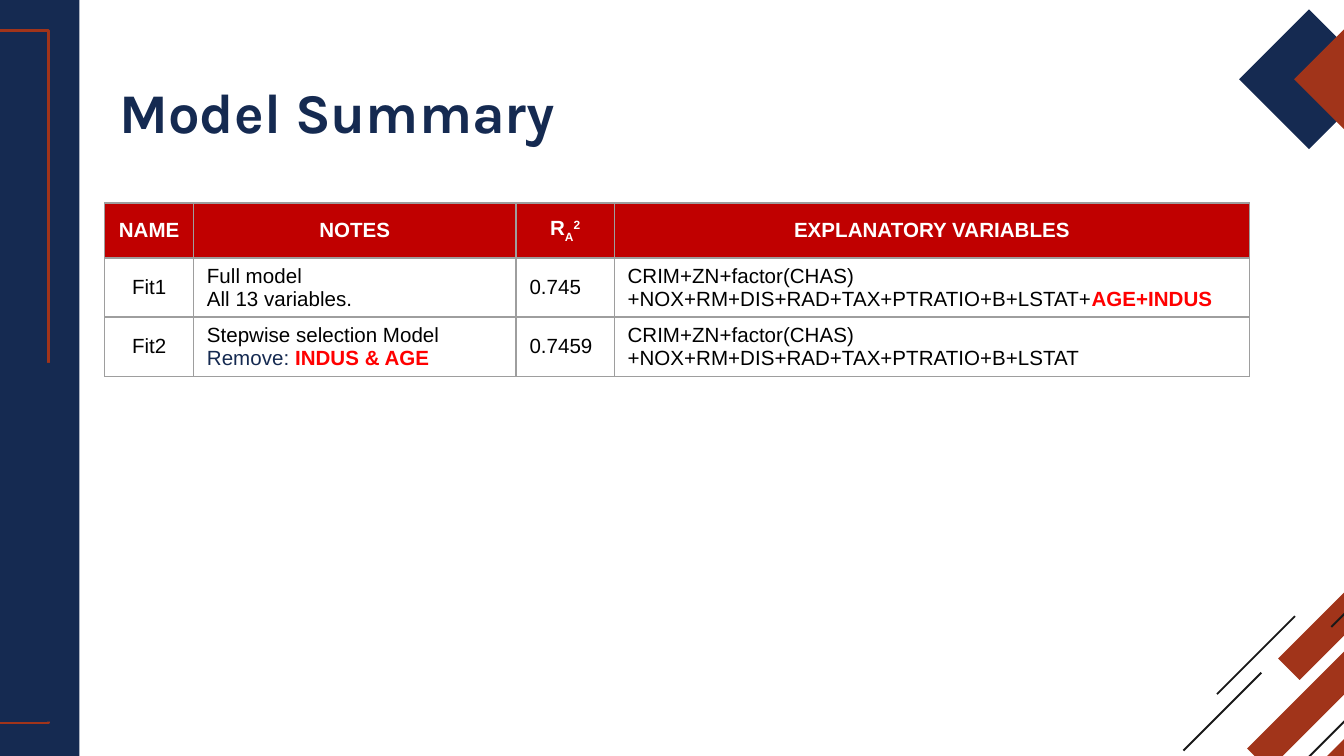
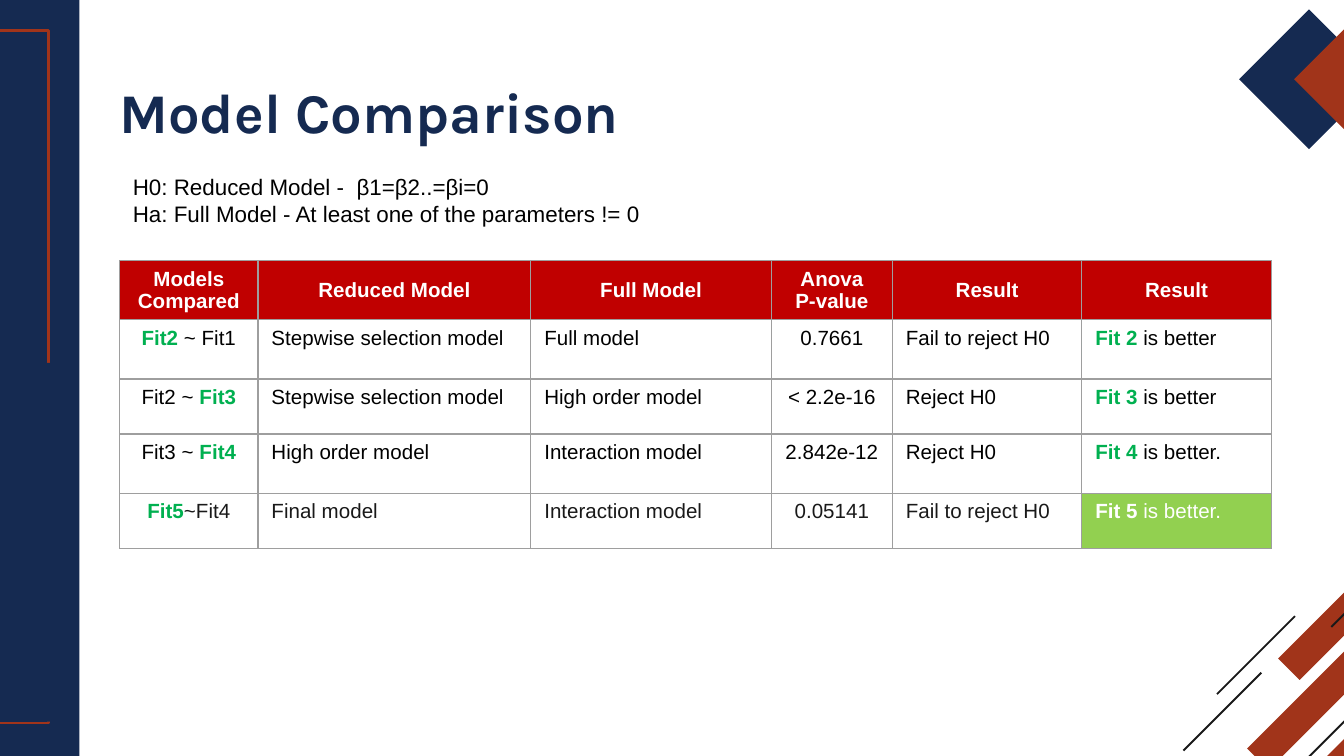
from lxml.etree import SubElement
from pptx import Presentation
from pptx.dml.color import RGBColor
from pptx.enum.shapes import MSO_SHAPE
from pptx.enum.text import MSO_ANCHOR, PP_ALIGN
from pptx.oxml.ns import qn
from pptx.util import Inches, Pt

COLORS = {
    "navy": "152A51", "rust": "A1341A", "ink": "191919", "black": "000000",
    "white": "FFFFFF", "header": "C00000", "red": "FF0000", "green": "00B050",
    "lime": "92D050", "border": "9E9E9E",
}

# Run styles: colour, bold, baseline shift in thousandths of a percent
STYLES = {
    "navy": ("navy", False, None),
    "removed": ("red", True, None),
    "winner": ("green", True, None),
    "final winner": ("white", True, None),
    "final": ("white", False, None),
    "subscript": ("white", True, -25000),
    "superscript": ("white", True, 30000),
}

# Side band: left, top, width, height, fill, line
BAND = [
    (-2.3, 0, 2.89, 5.63, "navy", None),
    (-2.08, 0.23, 2.44, 5.15, None, "rust"),
    (-1.18, 2.7, 1.62, 2.67, "navy", None),
]

# Diagonal stripes and diamonds: left, top, size, thickness, fill
DIAGONALS = [
    (9.51, 4.2, 0.86, 0.16, "rust"),
    (9.45, 5.35, 0.86, 0.16, "rust"),
    (9.28, 4.03, 1.7, 0.16, "rust"),
    (9.9, 4.08, 0.59, 0.01, "ink"),
    (8.8, 5, 0.59, 0.01, "ink"),
    (9.05, 4.58, 0.59, 0.01, "ink"),
    (9.05, 4.9, 1.42, 0.01, "ink"),
    (9.22, 0.07, 1.04, 0.52, "navy"),
    (9.63, 0.07, 1.04, 0.52, "rust"),
]

# A cell is a string or a list of paragraphs; a paragraph is a string or a
# list of runs; a run is a string or a (text, style) pair.
VARIABLES = "CRIM+ZN+factor(CHAS)+NOX+RM+DIS+RAD+TAX+PTRATIO+B+LSTAT"

SUMMARY = {
    "place": (0.78, 1.51),
    "columns": [0.66, 2.4, 0.73, 4.73],
    "rows": [0.41, 0.44, 0.44],
    "centered": {0},
    "anchor": MSO_ANCHOR.MIDDLE,
    "cells": [
        ["NAME", "NOTES", [["R", ("A", "subscript"), ("2", "superscript")]],
         "EXPLANATORY VARIABLES"],
        ["Fit1", ["Full model", "All 13 variables."], "0.745",
         [[VARIABLES + "+", ("AGE+INDUS", "removed")]]],
        ["Fit2",
         ["Stepwise selection Model",
          [("Remove:", "navy"), (" INDUS & AGE", "removed")]],
         "0.7459", VARIABLES],
    ],
}

COMPARISON = {
    "place": (0.89, 1.94),
    "columns": [1.03, 2.03, 1.79, 0.9, 1.41, 1.41],
    "rows": [0.44, 0.44, 0.41, 0.44, 0.41],
    "centered": {0, 3},
    "anchor": MSO_ANCHOR.TOP,
    "row_inks": {4: "ink"},
    "cell_fills": {(4, 5): "lime"},
    "cells": [
        ["Models Compared", "Reduced Model", "Full Model",
         ["Anova", "P-value"], "Result", "Result"],
        [[[("Fit2", "winner"), " ~ Fit1"]], "Stepwise selection model",
         "Full model", "0.7661", "Fail to reject H0",
         [[("Fit 2 ", "winner"), "is better"]]],
        [[["Fit2 ~ ", ("Fit3", "winner")]], "Stepwise selection model",
         "High order model", "< 2.2e-16", "Reject H0",
         [[("Fit 3 ", "winner"), "is better"]]],
        [[["Fit3 ~ ", ("Fit4", "winner")]], "High order model",
         "Interaction model", "2.842e-12", "Reject H0",
         [[("Fit 4 ", "winner"), "is better."]]],
        [[[("Fit5", "winner"), "~Fit4"]], "Final model",
         "Interaction model", "0.05141", "Fail to reject H0",
         [[("Fit 5 ", "final winner"), ("is better.", "final")]]],
    ],
}

HYPOTHESES = [
    "H0: Reduced Model -  β1=β2..=βi=0",
    "Ha: Full Model - At least one of the parameters != 0",
]


def rgb(name):
    return RGBColor.from_string(COLORS[name])


def as_list(value):
    return value if isinstance(value, list) else [value]


def paint(shape, fill=None, line=None):
    shape.shadow.inherit = False
    if fill:
        shape.fill.solid()
        shape.fill.fore_color.rgb = rgb(fill)
    else:
        shape.fill.background()
    if line:
        shape.line.color.rgb = rgb(line)
        shape.line.width = Pt(1.5)
    else:
        shape.line.fill.background()


def write(frame, paragraphs, size, color, bold=False, name="Arial",
          alignment=PP_ALIGN.LEFT):
    for index, runs in enumerate(as_list(paragraphs)):
        paragraph = frame.add_paragraph() if index else frame.paragraphs[0]
        paragraph.alignment = alignment
        font = paragraph.font
        font.size, font.name, font.bold = Pt(size), name, bold
        font.color.rgb = rgb(color)
        for item in as_list(runs):
            text, style = item if isinstance(item, tuple) else (item, None)
            run = paragraph.add_run()
            run.text = text
            if style:
                run_color, run.font.bold, baseline = STYLES[style]
                run.font.color.rgb = rgb(run_color)
                if baseline:
                    run.font._element.set("baseline", str(baseline))


def add_text(slide, place, paragraphs, inset=0.05, wrap=True, **font):
    box = slide.shapes.add_textbox(*map(Inches, place))
    frame = box.text_frame
    frame.word_wrap = wrap
    frame.margin_top = frame.margin_bottom = Inches(inset)
    write(frame, paragraphs, **font)


def add_diagonal(slide, left, top, size, thickness, fill):
    """Draw a 45-degree bar inside a square; half thickness makes a diamond."""
    right, bottom = left + size, top + size
    corners = [(right, top + thickness), (right - thickness, top),
               (left, bottom - thickness), (left + thickness, bottom)]
    points = [(Inches(x), Inches(y)) for x, y in corners]
    builder = slide.shapes.build_freeform(*points[0])
    builder.add_line_segments(points[1:], close=True)
    paint(builder.convert_to_shape(), fill)


def add_borders(cell):
    properties = cell._tc.get_or_add_tcPr()
    for position, side in enumerate(("a:lnL", "a:lnR", "a:lnT", "a:lnB")):
        line = properties.makeelement(qn(side), {"w": str(Pt(0.75))})
        fill = SubElement(line, qn("a:solidFill"))
        SubElement(fill, qn("a:srgbClr"), val=COLORS["border"])
        properties.insert(position, line)


def add_data_table(slide, data):
    columns, rows = data["columns"], data["rows"]
    left, top = data["place"]
    table = slide.shapes.add_table(
        len(rows), len(columns), Inches(left), Inches(top),
        Inches(sum(columns)), Inches(sum(rows))).table
    table.horz_banding = False
    for column, width in zip(table.columns, columns):
        column.width = Inches(width)
    for row, height in zip(table.rows, rows):
        row.height = Inches(height)
    for r, values in enumerate(data["cells"]):
        is_header = r == 0
        ink = "white" if is_header else data.get("row_inks", {}).get(r, "black")
        anchor = MSO_ANCHOR.MIDDLE if is_header else data["anchor"]
        margin = Inches(0.03 if anchor == MSO_ANCHOR.MIDDLE else 0.05)
        for c, value in enumerate(values):
            cell = table.cell(r, c)
            cell.vertical_anchor = anchor
            cell.margin_top = cell.margin_bottom = margin
            # Slightly narrower sides keep long numbers on one line
            cell.margin_left = Inches(0.1)
            cell.margin_right = Inches(0.1)
            if c in data["centered"]:
                cell.margin_left = cell.margin_right = Inches(0.08)
            fill = "header" if is_header else data.get("cell_fills", {}).get((r, c))
            if fill:
                cell.fill.solid()
                cell.fill.fore_color.rgb = rgb(fill)
            else:
                cell.fill.background()
            add_borders(cell)
            centered = is_header or c in data["centered"]
            write(cell.text_frame, value, size=11, color=ink, bold=is_header,
                  alignment=PP_ALIGN.CENTER if centered else PP_ALIGN.LEFT)


def add_base_slide(presentation, title):
    slide = presentation.slides.add_slide(presentation.slide_layouts[6])
    for left, top, width, height, fill, line in BAND:
        shape = slide.shapes.add_shape(
            MSO_SHAPE.RECTANGLE, *map(Inches, (left, top, width, height)))
        paint(shape, fill, line)
    for diagonal in DIAGONALS:
        add_diagonal(slide, *diagonal)
    add_text(slide, (0.79, 0.48, 8.43, 0.63), title, inset=0.1,
             size=30, color="navy", bold=True, name="Karla")
    return slide


def main():
    presentation = Presentation()
    presentation.slide_width = Inches(10)
    presentation.slide_height = Inches(5.625)

    summary = add_base_slide(presentation, "Model Summary")
    add_data_table(summary, SUMMARY)

    comparison = add_base_slide(presentation, "Model Comparison")
    add_data_table(comparison, COMPARISON)
    add_text(comparison, (0.89, 1.24, 4.02, 0.5), HYPOTHESES, wrap=False,
             size=12, color="black")

    presentation.save("out.pptx")


if __name__ == "__main__":
    main()
